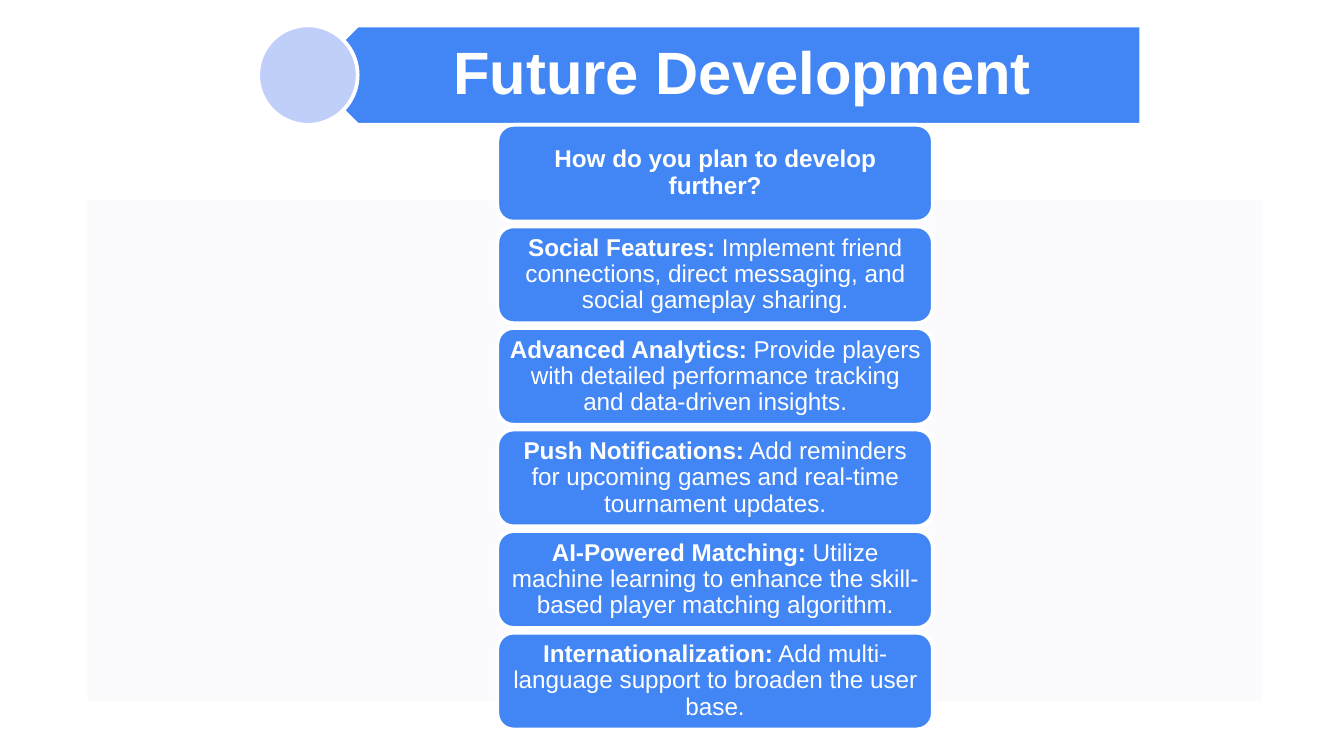
from pptx import Presentation
from pptx import util as u
from pptx.dml.color import RGBColor
from pptx.enum import shapes, text

Cm = u.Cm
Kind = shapes.MSO_SHAPE
HUES = {"blue": "4285F4", "pale": "C0CEFA", "mist": "FBFBFE", "white": "FFFFFF"}
TITLE = "Future Development"
CARDS = [
    ("How do you plan to develop further?", ""),
    ("Social Features:", " Implement friend connections, direct messaging, and social gameplay sharing."),
    ("Advanced Analytics:", " Provide players with detailed performance tracking and data-driven insights."),
    ("Push Notifications:", " Add reminders for upcoming games and real-time tournament updates."),
    ("AI-Powered Matching:", " Utilize machine learning to enhance the skill-based player matching algorithm."),
    ("Internationalization:", " Add multi-language support to broaden the user base."),
]
TOP, BAR = 0.48, 1.88
LEFT, WIDE, HIGH, STEP = 9.4, 8.23, 1.83, 1.92
FIRST = TOP + BAR


def hue(name):
    return RGBColor.from_string(HUES[name])


def draw(slide, kind, box, fill, edge=True):
    shape = slide.shapes.add_shape(kind, *map(Cm, box))
    shape.shadow.inherit = False
    shape.fill.solid()
    shape.fill.fore_color.rgb = hue(fill)
    if edge:
        shape.line.color.rgb = hue("white")
        shape.line.width = u.Pt(2)
    else:
        shape.line.fill.background()
    return shape


def write(shape, bold, plain, size, pads):
    frame = shape.text_frame
    frame.word_wrap = True
    frame.vertical_anchor = text.MSO_ANCHOR.MIDDLE
    (frame.margin_left, frame.margin_top,
     frame.margin_right, frame.margin_bottom) = map(Cm, pads)
    para = frame.paragraphs[0]
    para.alignment = text.PP_ALIGN.CENTER
    para.line_spacing = 0.9
    para.font.name = "Arial"
    para.font.size = u.Pt(size)
    para.font.color.rgb = hue("white")
    for words, heavy in ((bold, True), (plain, False)):
        if words:
            run = para.add_run()
            run.text = words
            run.font.bold = heavy


deck = Presentation()
deck.slide_width, deck.slide_height = Cm(25.4), Cm(14.29)
slide = deck.slides.add_slide(deck.slide_layouts[6])

draw(slide, Kind.RECTANGLE, (1.65, 3.78, 22.2, 9.47), "mist", edge=False)
banner = draw(slide, Kind.PENTAGON, (5.82, TOP, 15.75, BAR), "blue")
banner.rotation = 180
title = slide.shapes.add_textbox(*map(Cm, (6.3, TOP, 15.27, BAR)))
write(title, TITLE, "", 32, (0.84, 0.33, 0.64, 0.33))
draw(slide, Kind.OVAL, (4.88, TOP, BAR, BAR), "pale")

for row, (bold, plain) in enumerate(CARDS):
    card = draw(slide, Kind.ROUNDED_RECTANGLE, (LEFT, FIRST + row * STEP, WIDE, HIGH), "blue")
    write(card, bold, plain, 13, (0.13, 0.08, 0.13, 0.08))

deck.save("out.pptx")
